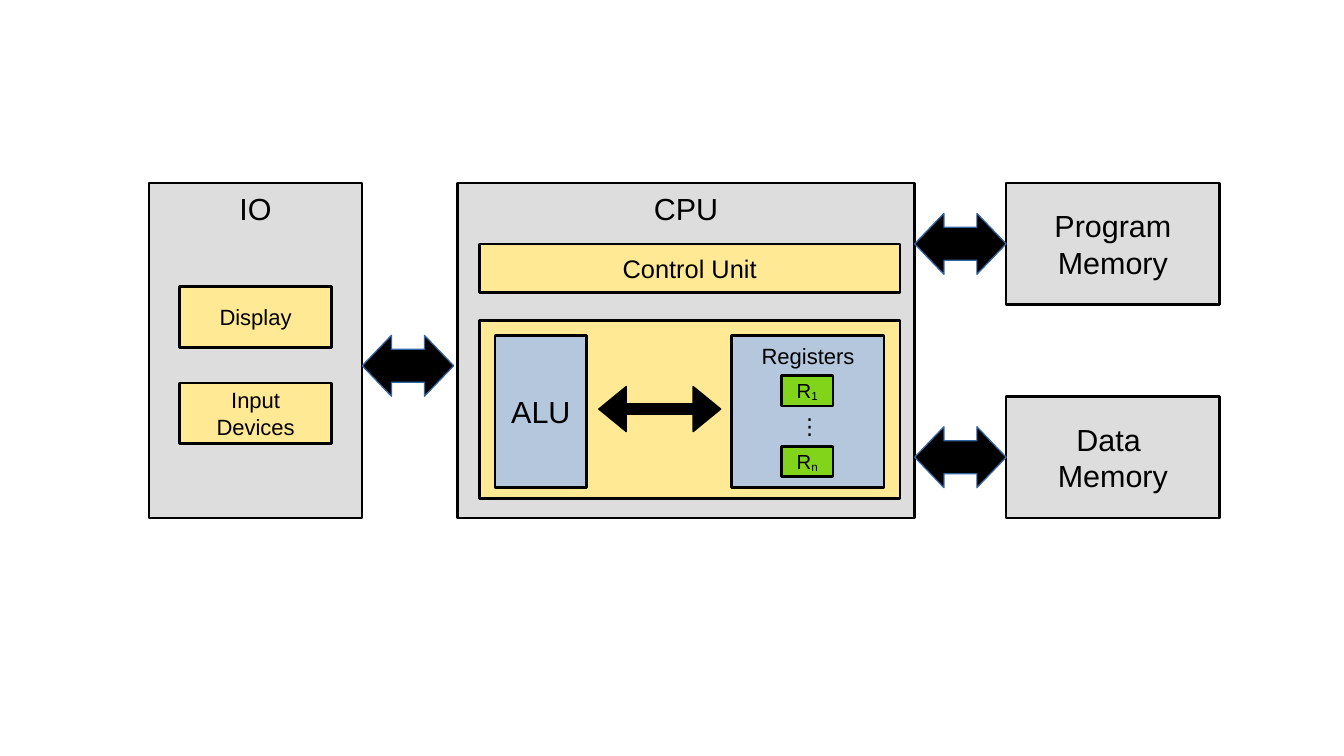
from pptx import Presentation
from pptx.dml.color import RGBColor
from pptx.enum.shapes import MSO_SHAPE
from pptx.enum.text import MSO_ANCHOR, PP_ALIGN
from pptx.util import Inches, Pt

BLACK = RGBColor(0x00, 0x00, 0x00)
GRAY = RGBColor(0xDD, 0xDD, 0xDD)
YELLOW = RGBColor(0xFF, 0xE9, 0x94)
BLUE = RGBColor(0xB4, 0xC7, 0xDC)
GREEN = RGBColor(0x81, 0xD4, 0x1A)
EDGE_BLUE = RGBColor(0x34, 0x65, 0xA4)

TOP, BOTTOM, MIDDLE = MSO_ANCHOR.TOP, MSO_ANCHOR.BOTTOM, MSO_ANCHOR.MIDDLE
UNIT_TOP, UNIT_HEIGHT = 1.5, 2.75
MEMORY_LEFT, MEMORY_WIDTH, MEMORY_HEIGHT = 8.25, 1.75, 1
BUS_WIDTH, BUS_HEIGHT = 0.75, 0.5

# Each block: left, top, width, height, fill, label lines, size, anchor
CPU_BLOCKS = [
    (3.75, UNIT_TOP, 3.75, UNIT_HEIGHT, GRAY, ["CPU"], 18, TOP),
    (3.93, 2, 3.45, 0.4, YELLOW, ["Control Unit"], 15, MIDDLE),
    (3.93, 2.63, 3.45, 1.46, YELLOW, [], 18, MIDDLE),
    (4.06, 2.75, 0.75, 1.25, BLUE, ["ALU"], 18, MIDDLE),
    (6, 2.75, 1.25, 1.25, BLUE, ["Registers"], 13, TOP),
]
IO_BLOCKS = [
    (1.22, UNIT_TOP, 1.75, UNIT_HEIGHT, GRAY, ["IO"], 18, TOP),
    (1.47, 2.35, 1.25, 0.5, YELLOW, ["Display"], 13, MIDDLE),
    (1.47, 3.14, 1.25, 0.5, YELLOW, ["Input Devices"], 13, MIDDLE),
]
REGISTERS = [("1", 3.08), ("n", 3.66)]
MEMORIES = [
    (["Program Memory"], UNIT_TOP),
    (["Data ", "Memory"], UNIT_TOP + UNIT_HEIGHT - MEMORY_HEIGHT),
]


def add_span(para, text, size):
    span = para.add_run()
    span.text = text
    span.font.name = "Arial"
    span.font.size = Pt(size)
    span.font.color.rgb = BLACK
    return span


def add_solid(shapes, kind, left, top, width, height, fill, edge, edge_width):
    """Add a filled, outlined preset shape without a shadow."""
    shape = shapes.add_shape(
        kind, Inches(left), Inches(top), Inches(width), Inches(height))
    shape.shadow.inherit = False
    shape.fill.solid()
    shape.fill.fore_color.rgb = fill
    shape.line.color.rgb = edge
    shape.line.width = Pt(edge_width)
    return shape


def add_block(shapes, left, top, width, height, fill, lines, size, anchor):
    """Add a labelled rectangle and return its paragraph."""
    block = add_solid(shapes, MSO_SHAPE.RECTANGLE, left, top, width, height,
                      fill, BLACK, 1.5)
    frame = block.text_frame
    frame.word_wrap = True
    frame.vertical_anchor = anchor
    frame.margin_left = frame.margin_right = Inches(0.11)
    frame.margin_top = frame.margin_bottom = Inches(0.06)
    para = frame.paragraphs[0]
    para.alignment = PP_ALIGN.CENTER
    for index, line in enumerate(lines):
        if index:
            para.add_line_break()
        add_span(para, line, size)
    return para


def add_arrow(shapes, left, top, width, height, shaft, head, edge, edge_width):
    arrow = add_solid(shapes, MSO_SHAPE.LEFT_RIGHT_ARROW, left, top, width,
                      height, BLACK, edge, edge_width)
    arrow.adjustments[0] = shaft
    arrow.adjustments[1] = head


def add_bus(shapes, left, middle):
    add_arrow(shapes, left, middle - BUS_HEIGHT / 2, BUS_WIDTH, BUS_HEIGHT,
              0.54, 0.48, EDGE_BLUE, 0)


def add_registers(shapes):
    for index, top in REGISTERS:
        para = add_block(shapes, 6.41, top, 0.42, 0.25, GREEN, ["R"], 12, MIDDLE)
        subscript = add_span(para, index, 12)
        subscript._r.get_or_add_rPr().set("baseline", "-8000")
    dots = shapes.add_textbox(
        Inches(6.45), Inches(3.33), Inches(0.31), Inches(0.3))
    dots.text_frame.word_wrap = True
    add_span(dots.text_frame.paragraphs[0], "⋮", 13)


def main():
    deck = Presentation()
    deck.slide_width, deck.slide_height = Inches(11.02), Inches(6.2)
    page = deck.slides.add_slide(deck.slide_layouts[6])

    cpu = page.shapes.add_group_shape().shapes
    for block in CPU_BLOCKS:
        add_block(cpu, *block)
    add_registers(cpu)
    add_arrow(cpu, 4.91, 3.17, 1, 0.37, 0.23, 0.61, BLACK, 0.79)

    io_unit = page.shapes.add_group_shape().shapes
    for block in IO_BLOCKS:
        add_block(io_unit, *block)
    add_bus(page.shapes, 2.97, 3)

    for lines, top in MEMORIES:
        add_block(page.shapes, MEMORY_LEFT, top, MEMORY_WIDTH, MEMORY_HEIGHT,
                  GRAY, lines, 18, MIDDLE)
        add_bus(page.shapes, MEMORY_LEFT - BUS_WIDTH, top + MEMORY_HEIGHT / 2)

    deck.save("out.pptx")


if __name__ == "__main__":
    main()
